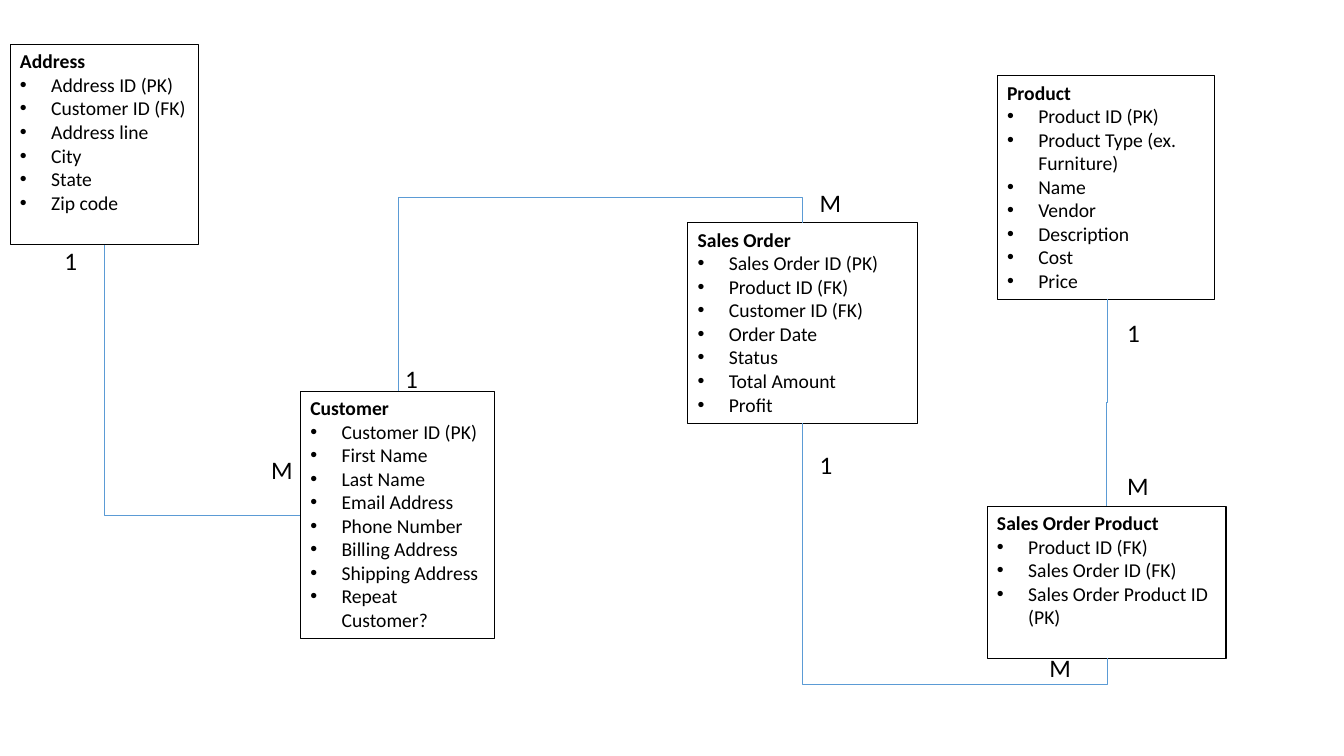
from pptx import Presentation
from pptx.dml.color import RGBColor
from pptx.enum.shapes import MSO_CONNECTOR, MSO_SHAPE
from pptx.enum.text import MSO_ANCHOR, PP_ALIGN
from pptx.oxml.ns import qn
from pptx.util import Inches, Pt
from lxml.etree import SubElement

BLACK = RGBColor(0, 0, 0)
BLUE = RGBColor(0x5B, 0x9B, 0xD5)

# Each table: box, name, fields
TABLES = [
    ((2.98, 3.88, 1.93, 2.46), "Customer",
     ["Customer ID (PK)", "First Name", "Last Name", "Email Address",
      "Phone Number", "Billing Address", "Shipping Address",
      "Repeat Customer?"]),
    ((6.82, 2.21, 2.28, 1.99), "Sales Order",
     ["Sales Order ID (PK)", "Product ID (FK)", "Customer ID (FK)",
      "Order Date", "Status", "Total Amount", "Profit"]),
    ((9.79, 5.02, 2.37, 1.51), "Sales Order Product",
     ["Product ID (FK)", "Sales Order ID (FK)",
      "Sales Order Product ID (PK)"]),
    ((9.89, 0.75, 2.16, 2.22), "Product",
     ["Product ID (PK)", "Product Type (ex. Furniture)", "Name", "Vendor",
      "Description", "Cost", "Price"]),
    ((0.1, 0.44, 1.87, 1.99), "Address",
     ["Address ID (PK)", "Customer ID (FK)", "Address line", "City",
      "State", "Zip code"]),
]

# Each link: start, end, turn in degrees, flips, bends, bend place
LINKS = [
    ((1.04, 2.43), (2.98, 5.11), 270, "H", 2, None),
    ((3.95, 3.88), (7.96, 2.21), 90, "HV", 3, 1.15),
    ((10.98, 6.53), (7.96, 4.2), 90, "H", 3, -0.11),
    ((10.98, 2.97), (10.97, 5.02), 90, "", 3, 0.5),
]

# Each mark: left, top, text
MARKS = [
    (8.03, 4.41, "1"), (2.59, 4.46, "M"), (3.92, 3.56, "1"),
    (0.54, 2.38, "1"), (10.31, 6.42, "M"), (8.03, 1.81, "M"),
    (11.08, 3.1, "1"), (11.08, 4.62, "M"),
]


def write(para, text, size, bold=False):
    run = para.add_run()
    run.text = text
    style = {"name": "Calibri", "size": Pt(size), "bold": bold}
    for key, value in style.items():
        setattr(run.font, key, value)
    run.font.color.rgb = BLACK
    para.alignment = PP_ALIGN.LEFT


def bullet(para):
    props = para._p.get_or_add_pPr()
    for key, value in {"marL": 0.31, "indent": -0.31}.items():
        props.set(key, str(Inches(value)))
    SubElement(props, qn("a:buFont")).set("typeface", "Arial")
    SubElement(props, qn("a:buChar")).set("char", "•")


def add_entity(slide, box, name, fields):
    shape = slide.shapes.add_shape(MSO_SHAPE.RECTANGLE, *map(Inches, box))
    shape.shadow.inherit = False
    shape.fill.background()
    shape.line.color.rgb = BLACK
    shape.line.width = Pt(0.75)
    frame = shape.text_frame
    for key, value in {"word_wrap": True,
                       "vertical_anchor": MSO_ANCHOR.TOP}.items():
        setattr(frame, key, value)
    write(frame.paragraphs[0], name, 14, True)
    for field in fields:
        para = frame.add_paragraph()
        write(para, field, 14)
        bullet(para)


def add_link(slide, start, end, turn, flips, bends, place):
    # A quarter turn swaps width and height about the middle
    (x1, y1), (x2, y2) = start, end
    wide, high = abs(y2 - y1), abs(x2 - x1)
    left, top = (x1 + x2 - wide) / 2, (y1 + y2 - high) / 2
    line = slide.shapes.add_connector(
        MSO_CONNECTOR.ELBOW,
        *map(Inches, (left, top, left + wide, top + high)))
    line.line.color.rgb = BLUE
    line.line.width = Pt(0.5)
    props = line._element.spPr
    SubElement(props, qn("a:effectLst"))
    frame = props.find(qn("a:xfrm"))
    frame.set("rot", str(turn * 60000))
    for flip in flips:
        frame.set("flip" + flip, "1")
    # Bend shape and place
    geom = props.find(qn("a:prstGeom"))
    geom.set("prst", f"bentConnector{bends}")
    if place is not None:
        guide = SubElement(geom.find(qn("a:avLst")), qn("a:gd"))
        guide.set("name", "adj1")
        guide.set("fmla", f"val {round(place * 100000)}")


def add_mark(slide, left, top, text):
    box = slide.shapes.add_textbox(*map(Inches, (left, top, 0.32, 0.4)))
    box.text_frame.word_wrap = True
    write(box.text_frame.paragraphs[0], text, 18)


def build(slide):
    for table in TABLES:
        add_entity(slide, *table)
    for link in LINKS:
        add_link(slide, *link)
    for mark in MARKS:
        add_mark(slide, *mark)


deck = Presentation()
deck.slide_width, deck.slide_height = Inches(13.33), Inches(7.5)
build(deck.slides.add_slide(deck.slide_layouts[6]))
deck.save("out.pptx")
